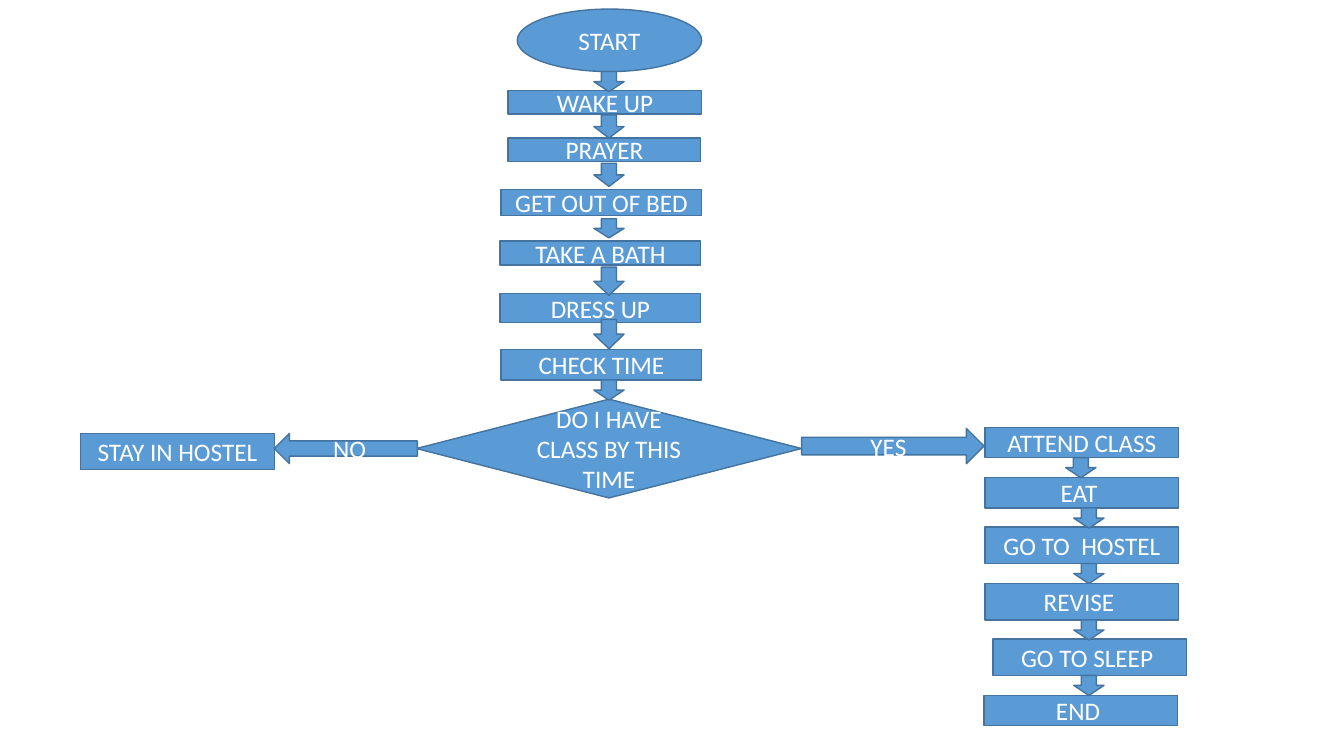
from pptx import Presentation
from pptx.dml.color import RGBColor
from pptx.enum.shapes import MSO_SHAPE
from pptx.enum.text import MSO_ANCHOR, PP_ALIGN
from pptx.util import Emu, Pt

# Content: lengths in px, 100 px to the inch
PX = 9144
SLIDE_SIZE = (1333, 750)
FILL, OUTLINE, TEXT = "5B9BD5", "43739E", "FFFFFF"
FONT, TEXT_SIZE = "Calibri", 18
DOWN_ARROW_WIDTH = 30

# text, left, top, width, height
MORNING_STEPS = [
    ("WAKE UP", 504, 90, 192, 23),
    ("PRAYER", 504, 137, 191, 23),
    ("GET OUT OF BED", 497, 188, 199, 26),
    ("TAKE A BATH", 496, 239, 199, 24),
    ("DRESS UP", 496, 291, 199, 29),
    ("CHECK TIME", 497, 347, 199, 30),
]
HOSTEL_STEP = ("STAY IN HOSTEL", 80, 430, 192, 36)
CLASS_STEPS = [
    ("ATTEND CLASS", 977, 424, 192, 30),
    ("EAT ", 977, 474, 192, 30),
    ("GO TO  HOSTEL", 977, 523, 192, 36),
    ("REVISE ", 977, 579, 192, 36),
    ("GO TO SLEEP ", 985, 634, 192, 36),
    ("END ", 976, 690, 192, 30),
]
START = ("START", 513, 9, 183, 62)
DECISION = ("DO I HAVE CLASS BY THIS TIME", 413, 396, 382, 98)
YES_BRANCH = ("YES", 795, 425, 181, 35)
NO_BRANCH = ("NO", 272, 430, 142, 30)

# left, then (top, height) of each arrow in the column
DOWN_ARROWS = [
    (589, [(71, 20), (114, 23), (162, 23), (217, 19), (265, 28), (317, 29), (377, 20)]),
    (1057, [(454, 20)]),
    (1065, [(504, 20), (559, 20), (615, 20), (670, 20)]),
]


def color(hex_code):
    return RGBColor.from_string(hex_code)


def add_node(slide, kind, text, *box):
    node = slide.shapes.add_shape(kind, *(Emu(length * PX) for length in box))
    node.shadow.inherit = False
    node.fill.solid()
    node.fill.fore_color.rgb = color(FILL)
    node.line.color.rgb = color(OUTLINE)
    node.line.width = Pt(1)
    if text:
        frame = node.text_frame
        frame.word_wrap = True
        frame.vertical_anchor = MSO_ANCHOR.MIDDLE
        label = frame.paragraphs[0]
        label.alignment = PP_ALIGN.CENTER
        run = label.add_run()
        run.text = text
        run.font.name = FONT
        run.font.size = Pt(TEXT_SIZE)
        run.font.color.rgb = color(TEXT)


def main():
    deck = Presentation()
    deck.slide_width, deck.slide_height = (Emu(side * PX) for side in SLIDE_SIZE)
    slide = deck.slides.add_slide(deck.slide_layouts[6])

    # Start, steps and decision
    add_node(slide, MSO_SHAPE.OVAL, *START)
    for step in MORNING_STEPS + [HOSTEL_STEP] + CLASS_STEPS:
        add_node(slide, MSO_SHAPE.RECTANGLE, *step)
    add_node(slide, MSO_SHAPE.FLOWCHART_DECISION, *DECISION)

    # Branches
    add_node(slide, MSO_SHAPE.RIGHT_ARROW, *YES_BRANCH)
    add_node(slide, MSO_SHAPE.LEFT_ARROW, *NO_BRANCH)

    # Arrows between steps
    for left, arrows in DOWN_ARROWS:
        for top, height in arrows:
            add_node(slide, MSO_SHAPE.DOWN_ARROW, "", left, top, DOWN_ARROW_WIDTH, height)

    deck.save("out.pptx")


if __name__ == "__main__":
    main()
